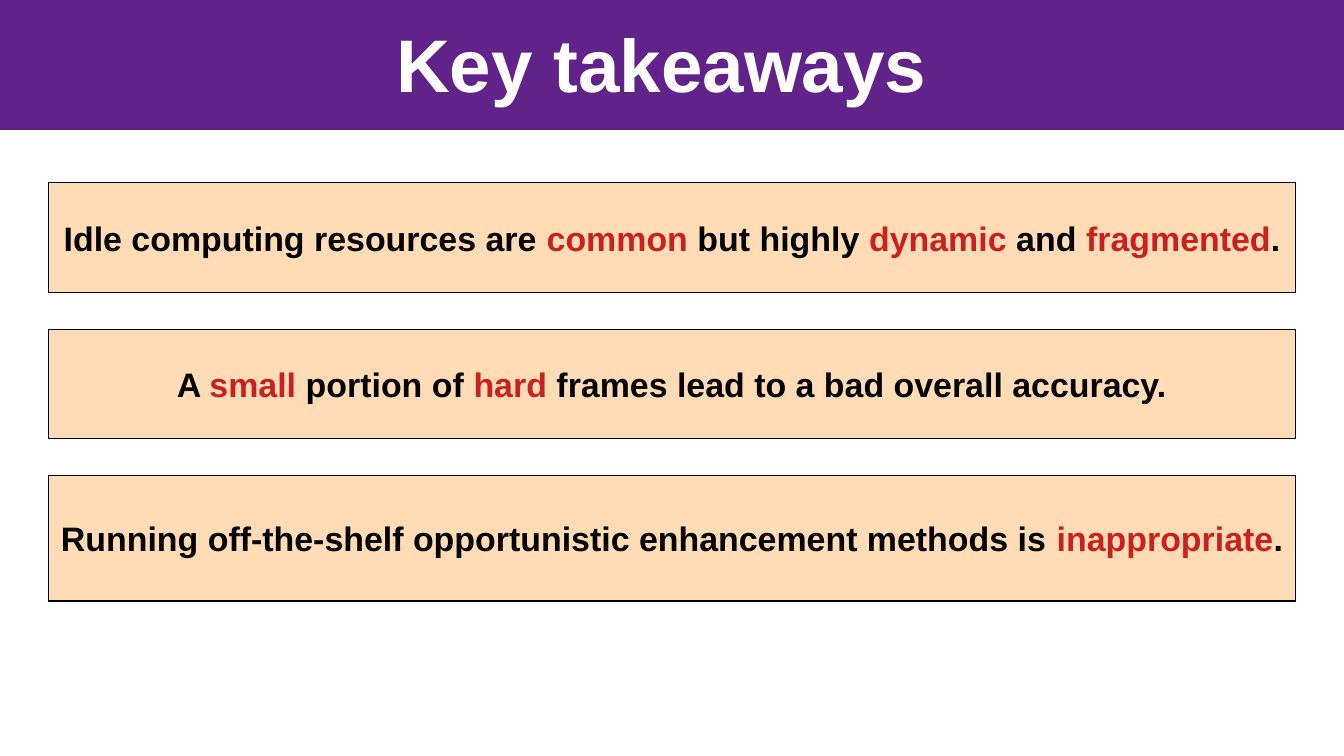
from pptx import Presentation
from pptx.dml.color import RGBColor as RGB
from pptx.enum.shapes import MSO_SHAPE as SHAPE
from pptx.enum.text import MSO_ANCHOR as ANCHOR, PP_ALIGN as ALIGN
from pptx.util import Inches, Pt

TITLE = "Key takeaways "
# Each takeaway: its runs, as (text, colour name)
TAKEAWAYS = [
    [("Idle computing resources are ", "text"), ("common", "accent"),
     (" but highly ", "text"), ("dynamic", "accent"), (" and ", "text"),
     ("fragmented", "accent"), (".", "text")],
    [("A ", "text"), ("small", "accent"), (" portion of ", "text"),
     ("hard", "accent"),
     (" frames lead to a bad overall accuracy.", "text")],
    [("Running off-the-shelf opportunistic enhancement methods is ", "text"),
     ("inappropriate", "accent"), (".", "text")],
]
COLORS = {"band": "61238A", "white": "FFFFFF", "card": "FFDBB6",
          "text": "000000", "accent": "C9211E"}
FONT = "Arial"

WIDTH, HEIGHT = 11.02, 6.2
BLEED, BAND_BOTTOM = 0.01, 1.07
TITLE_BOX = (0.55, 0, WIDTH - 2 * 0.55, 1.03)
MARGIN, TOP, PITCH = 0.4, 1.5, 1.2
CARD_HEIGHTS = [0.9, 0.9, 1.03]
INSET = 0.05


def color(name):
    return RGB.from_string(COLORS[name])


def add_rect(s, left, top, width, height, fill, line):
    sp = s.shapes.add_shape(SHAPE.RECTANGLE, Inches(left), Inches(top),
                            Inches(width), Inches(height))
    sp.shadow.inherit = False
    sp.fill.solid()
    sp.fill.fore_color.rgb = color(fill)
    sp.line.color.rgb = color(line)
    sp.line.width = Pt(0.75)
    return sp


def write(sp, runs, size, inset):
    """Write one centred bold paragraph, run by run."""
    tf = sp.text_frame
    tf.word_wrap = True
    tf.vertical_anchor = ANCHOR.MIDDLE
    tf.margin_left = tf.margin_right = Inches(inset)
    tf.margin_top = tf.margin_bottom = Inches(inset)
    p = tf.paragraphs[0]
    p.alignment = ALIGN.CENTER
    for text, name in runs:
        r = p.add_run()
        r.text = text
        r.font.name, r.font.size, r.font.bold = FONT, Pt(size), True
        r.font.color.rgb = color(name)


prs = Presentation()
prs.slide_width, prs.slide_height = Inches(WIDTH), Inches(HEIGHT)
s = prs.slides.add_slide(prs.slide_layouts[5])

band = add_rect(s, -BLEED, -BLEED, WIDTH + 2 * BLEED, BAND_BOTTOM + BLEED,
                "band", "white")
title = s.shapes.title
title.left, title.top, title.width, title.height = map(Inches, TITLE_BOX)
write(title, [(TITLE, "white")], 44, 0)
band._element.addnext(title._element)  # title in front of the band

for row, (runs, height) in enumerate(zip(TAKEAWAYS, CARD_HEIGHTS)):
    card = add_rect(s, MARGIN, TOP + row * PITCH, WIDTH - 2 * MARGIN, height,
                    "card", "text")
    write(card, runs, 20, INSET)

prs.save("out.pptx")
